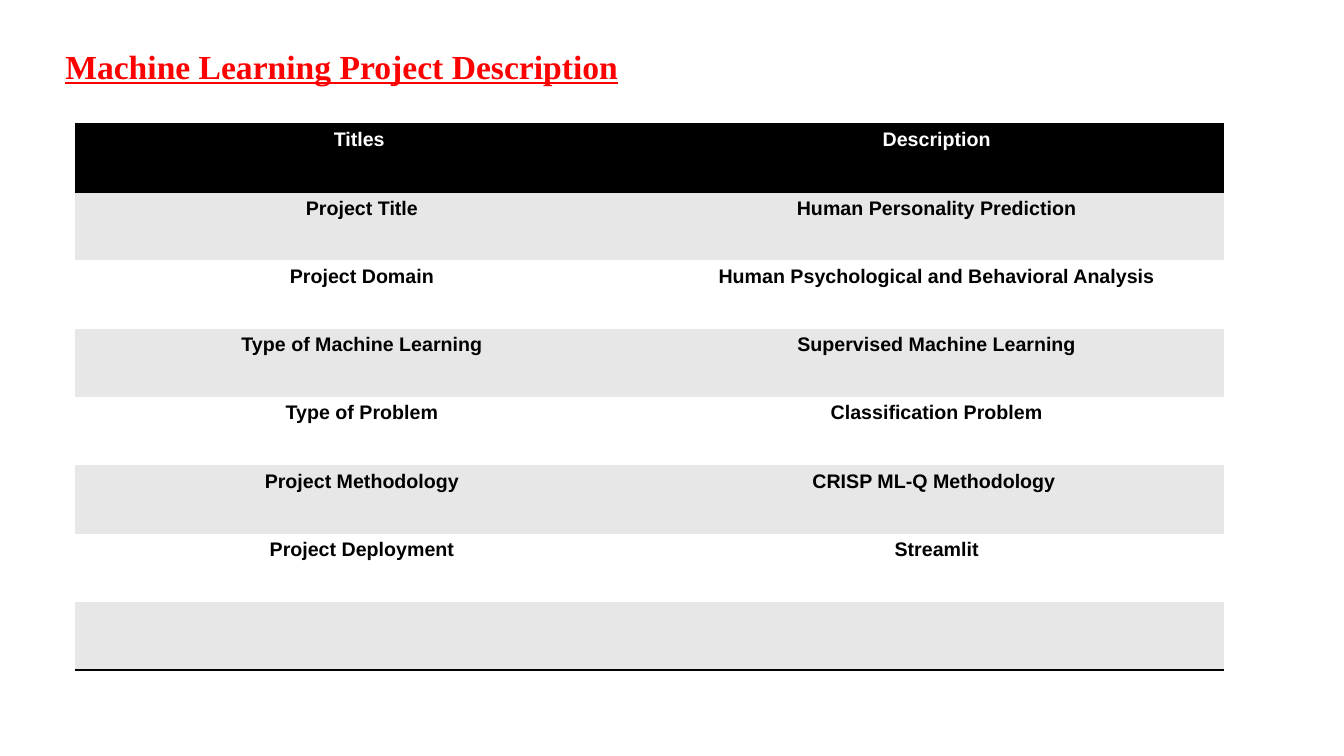
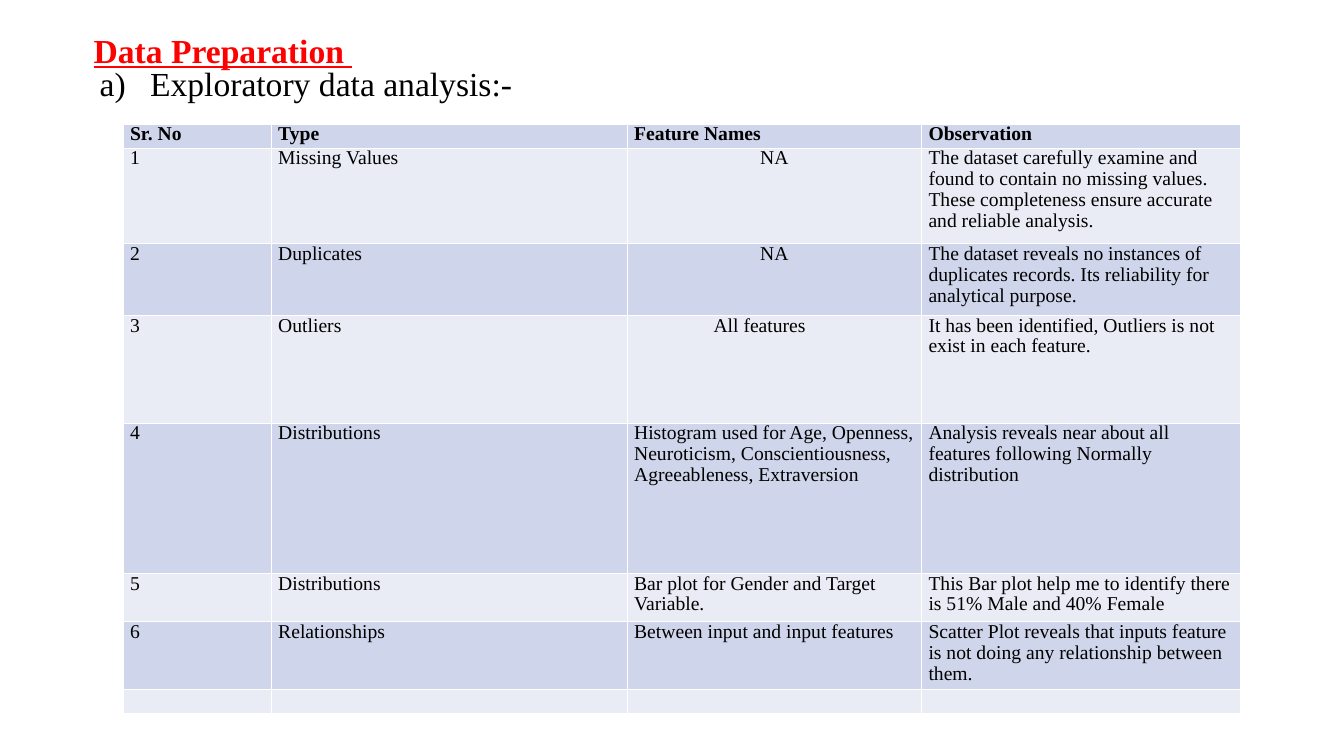
from dataclasses import dataclass

from lxml import etree
from pptx import Presentation
from pptx.dml.color import RGBColor
from pptx.enum import text
from pptx.oxml import ns
from pptx.util import Inches, Pt


@dataclass(frozen=True)
class Theme:
    red: str = "FF0000"
    black: str = "000000"
    white: str = "FFFFFF"
    gray: str = "E7E7E7"
    blue: str = "CFD5EA"
    pale_blue: str = "E9EBF5"
    serif: str = "Times New Roman"
    sans: str = "Arial"
    heading: int = 24
    body: int = 14


theme = Theme()
CENTER = text.PP_ALIGN.CENTER


def add_line(slide, left, top, width, height, words, color, **style):
    """Add a text box with one heading-size paragraph and return the paragraph."""
    box = slide.shapes.add_textbox(Inches(left), Inches(top), Inches(width), Inches(height))
    box.text_frame.word_wrap = True
    paragraph = box.text_frame.paragraphs[0]
    paragraph.line_spacing = 0.9
    run = paragraph.add_run()
    run.text = words
    run.font.name, run.font.size = theme.serif, Pt(theme.heading)
    run.font.color.rgb = RGBColor.from_string(color)
    for name, value in style.items():
        setattr(run.font, name, value)
    return paragraph


def fill_cell(cell, words, font, color, bold, fill, borders):
    """Style a cell; borders maps L, R, T, B to (colour, points), other sides get none."""
    properties = cell._tc.get_or_add_tcPr()
    for side in "LRTB":
        line = etree.SubElement(properties, ns.qn(f"a:ln{side}"))
        if side in borders:
            line_color, points = borders[side]
            line.set("w", str(Pt(points)))
            solid = etree.SubElement(line, ns.qn("a:solidFill"))
            etree.SubElement(solid, ns.qn("a:srgbClr"), val=line_color)
        else:
            etree.SubElement(line, ns.qn("a:noFill"))
    cell.fill.solid()
    cell.fill.fore_color.rgb = RGBColor.from_string(fill)
    paragraph = cell.text_frame.paragraphs[0]
    if words:
        run = paragraph.add_run()
        run.text = words
        run.font.name, run.font.size, run.font.bold = font, Pt(theme.body), bold
        run.font.color.rgb = RGBColor.from_string(color)
    else:
        etree.SubElement(paragraph._p, ns.qn("a:endParaRPr"), sz=str(theme.body * 100))
    return paragraph


prs = Presentation()
prs.slide_width, prs.slide_height = Inches(13.33), Inches(7.5)
blank = prs.slide_layouts[6]
title_style = dict(color=theme.red, bold=True, underline=True)

# Project description
slide = prs.slides.add_slide(blank)
title = add_line(slide, 0.55, 0.36, 12.27, 0.55, "Machine Learning Project Description", **title_style)
title._p.getparent().bodyPr.set("anchor", "b")

description = [
    ("Titles ", "Description"),
    ("Project Title", "Human Personality Prediction"),
    ("Project Domain", "Human Psychological and Behavioral Analysis"),
    ("Type of Machine Learning", "Supervised Machine Learning"),
    ("Type of Problem", "Classification Problem"),
    ("Project Methodology", "CRISP ML-Q Methodology "),
    ("Project Deployment", "Streamlit"),
    ("", ""),
]
rule = (theme.black, 2)
table = slide.shapes.add_table(
    len(description), 2, Inches(0.74), Inches(1.23), Inches(11.4), Inches(5.42)).table
for r, row in enumerate(description):
    header, last = r == 0, r == len(description) - 1
    band = theme.black if header else theme.gray if r % 2 else theme.white
    ink = theme.white if header else theme.black
    borders = {"T": rule, "B": rule} if header else {"B": rule} if last else {}
    for c, words in enumerate(row):
        paragraph = fill_cell(table.cell(r, c), words, theme.sans, ink, True, band, borders)
        paragraph.alignment = CENTER

# Data preparation
slide = prs.slides.add_slide(blank)
title = add_line(slide, 0.83, 0.15, 11.69, 0.6, "Data Preparation ", **title_style)
title._p.getparent().bodyPr.set("anchor", "b")
subtitle = add_line(slide, 0.83, 0.62, 11.69, 5.58, "Exploratory data analysis:-", theme.black)
numbering = subtitle._p.get_or_add_pPr()
numbering.set("marL", str(Inches(0.56)))
numbering.set("indent", str(Inches(-0.5)))
etree.SubElement(numbering, ns.qn("a:buFont"), typeface=theme.serif)
etree.SubElement(numbering, ns.qn("a:buAutoNum"), type="alphaLcParenR")

analysis = [
    (0.24, "Sr. No", "Type", "Feature Names", "Observation"),
    (0.95, "1", "Missing Values", "NA",
     "The dataset carefully examine and found to contain no missing values. "
     "These completeness ensure accurate and reliable analysis."),
    (0.71, "2", "Duplicates", "NA",
     "The dataset reveals no instances of duplicates records. "
     "Its reliability for analytical purpose."),
    (1.07, "3", "Outliers", "All features",
     "It has been identified, Outliers is not exist in each feature."),
    (1.49, "4", "Distributions",
     "Histogram used for Age, Openness, Neuroticism, Conscientiousness, "
     "Agreeableness, Extraversion",
     "Analysis reveals near about all features following Normally distribution"),
    (0.48, "5", "Distributions", "Bar plot for Gender and Target Variable.",
     "This Bar plot help me to identify there is 51% Male and 40% Female"),
    (0.65, "6", "Relationships", "Between input and input features",
     "Scatter Plot reveals that inputs feature is not doing any relationship between them."),
    (0.24, "", "", "", ""),
]
column_widths = [1.47, 3.53, 2.92, 3.17]
table = slide.shapes.add_table(
    len(analysis), len(column_widths), Inches(1.22), Inches(1.23),
    Inches(sum(column_widths)), Inches(sum(row[0] for row in analysis))).table
for column, width in zip(table.columns, column_widths):
    column.width = Inches(width)
grid = dict.fromkeys("LRTB", (theme.white, 1))
for r, (height, *row) in enumerate(analysis):
    table.rows[r].height = Inches(height)
    band = theme.pale_blue if r % 2 else theme.blue
    for c, words in enumerate(row):
        cell = table.cell(r, c)
        cell.margin_left = cell.margin_right = Inches(0.07)
        cell.margin_top = cell.margin_bottom = 0
        paragraph = fill_cell(cell, words, theme.serif, theme.black, r == 0, band, grid)
        paragraph.line_spacing = 0.96
        if words in ("NA", "All features"):
            paragraph.alignment = CENTER
        if words == "All features":
            cell.margin_right = Inches(0.36)

prs.save("out.pptx")
